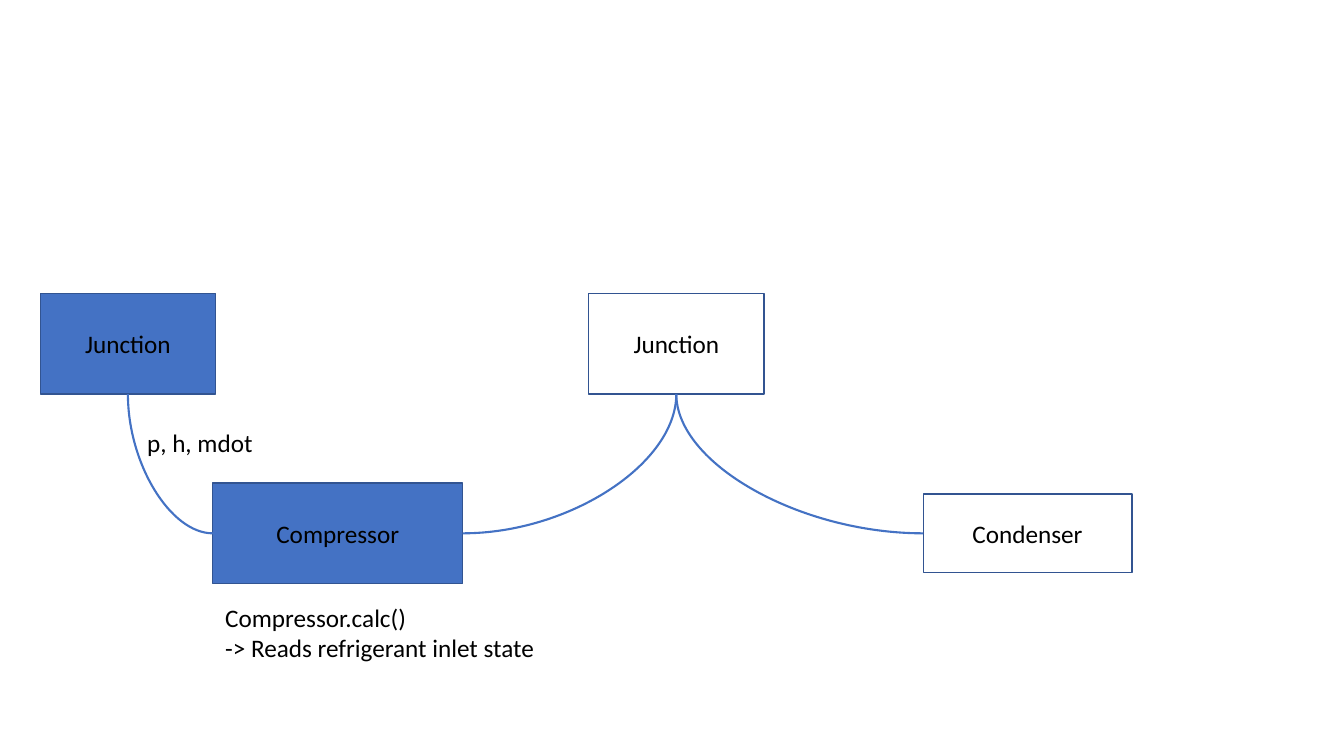
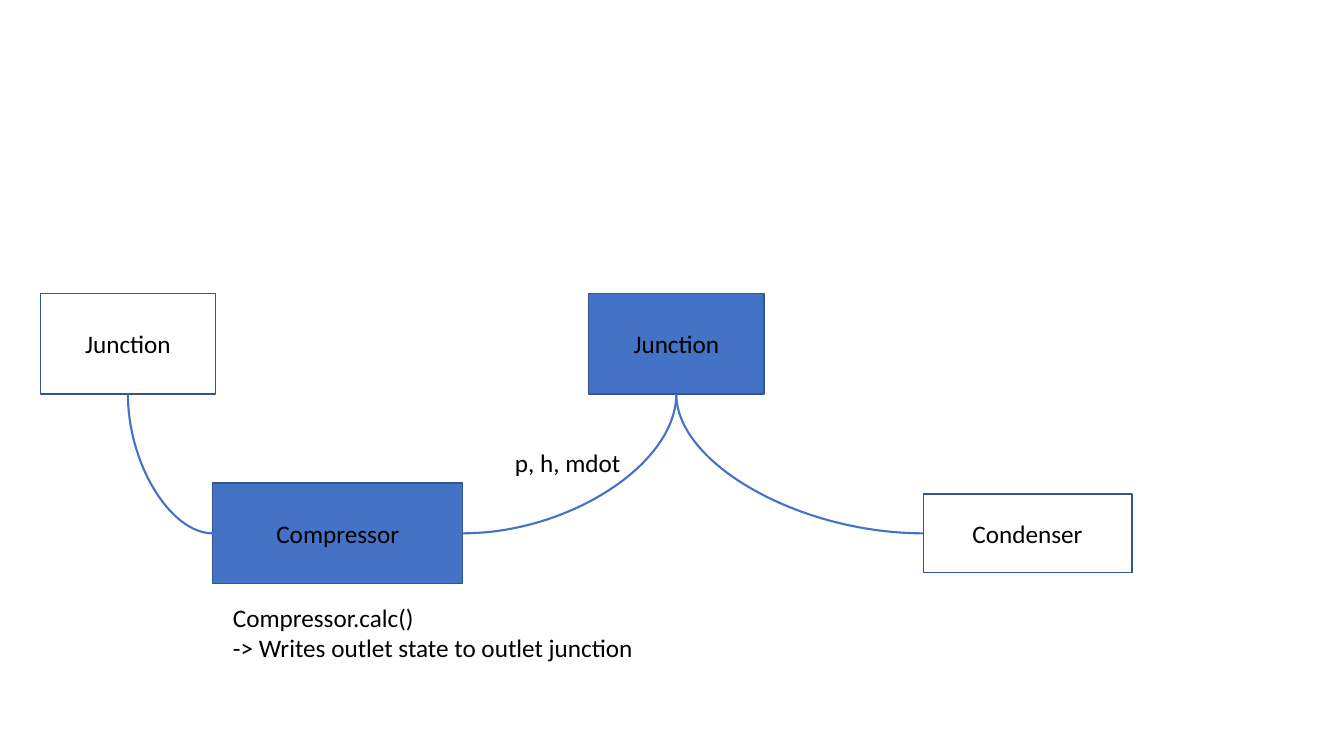
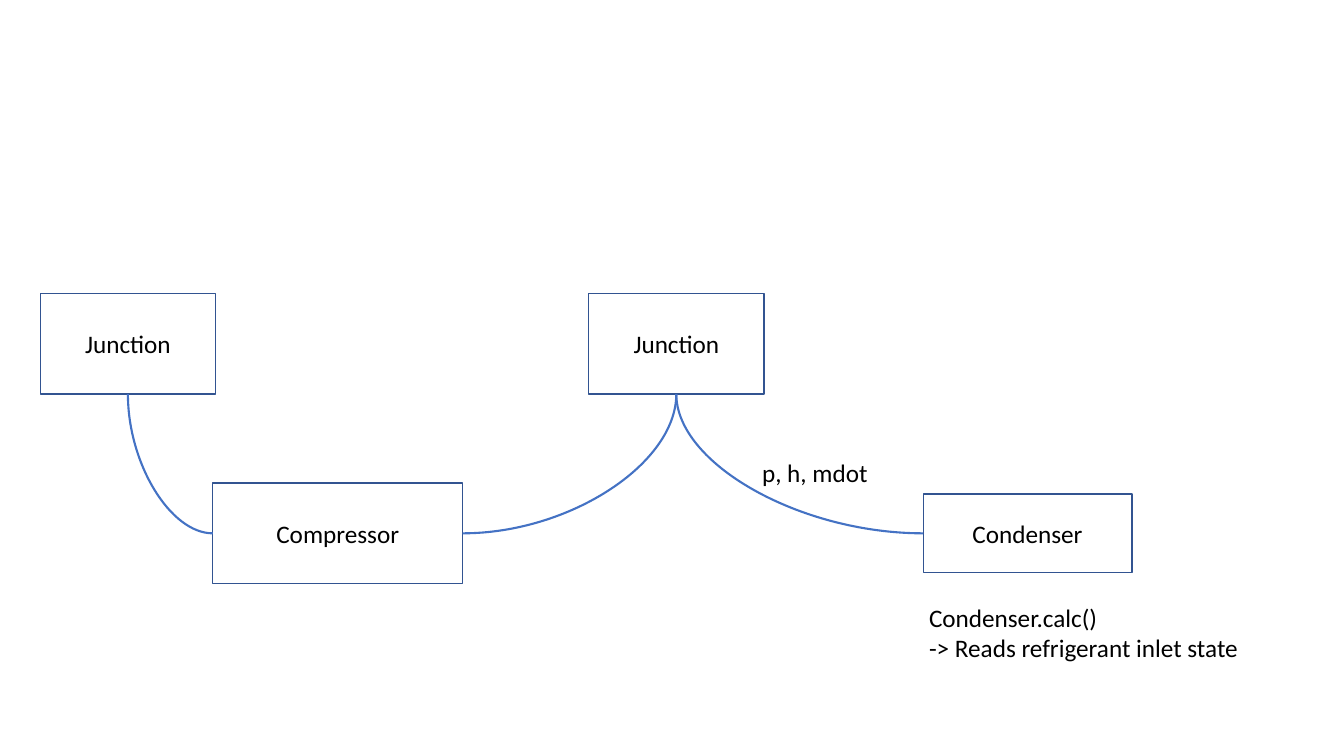
from collections import namedtuple

from lxml import etree
from pptx import Presentation
from pptx.dml.color import RGBColor
from pptx.enum import shapes, text
from pptx.oxml.ns import qn
from pptx.util import Pt

ACTIVE = RGBColor(0x44, 0x72, 0xC4)
OUTLINE = RGBColor(0x32, 0x54, 0x91)
INK = RGBColor(0, 0, 0)
FONT = "Calibri"

LEFT, BOTTOM, RIGHT = 1, 2, 3

Part = namedtuple("Part", "label left top width height")
Note = namedtuple("Note", "lines left top width height")
Step = namedtuple("Step", "active call state")

PARTS = {
    "compressor": Part("Compressor", 152, 345, 178.5, 72),
    "outlet": Part("Junction", 420.5, 209.5, 125.25, 72),
    "condenser": Part("Condenser", 659.5, 353, 149, 56),
    "inlet": Part("Junction", 28.75, 209.5, 125.25, 72),
}
PIPES = [
    ("compressor", RIGHT, "outlet"),
    ("condenser", LEFT, "outlet"),
    ("compressor", LEFT, "inlet"),
]


def call_note(component, action, left, width):
    return Note([f"{component}.calc()", f"-> {action}"], left, 426.75, width, 51)


def state_note(left, top):
    return Note(["p, h, mdot"], left, top, 90.75, 29)


STEPS = [
    Step({"inlet", "compressor"},
         call_note("Compressor", "Reads refrigerant inlet state", 153.75, 237.75),
         state_note(98, 302)),
    Step({"outlet", "compressor"},
         call_note("Compressor", "Writes outlet state to outlet junction", 159.25, 303),
         state_note(360.75, 316.25)),
    Step(set(),
         call_note("Condenser", "Reads refrigerant inlet state", 656.5, 237.75),
         state_note(537.25, 323.25)),
]


def write(paragraph, line):
    run = paragraph.add_run()
    run.text = line
    run.font.name = FONT
    run.font.size = Pt(18)
    run.font.color.rgb = INK


def add_part(slide, part, active):
    box = slide.shapes.add_shape(
        shapes.MSO_SHAPE.RECTANGLE,
        Pt(part.left), Pt(part.top), Pt(part.width), Pt(part.height))
    box.shadow.inherit = False
    if active:
        box.fill.solid()
        box.fill.fore_color.rgb = ACTIVE
    else:
        box.fill.background()
    box.line.color.rgb = OUTLINE
    box.line.width = Pt(1)
    box.text_frame.vertical_anchor = text.MSO_ANCHOR.MIDDLE
    label = box.text_frame.paragraphs[0]
    label.alignment = text.PP_ALIGN.CENTER
    write(label, part.label)
    return box


def add_pipe(slide, component, side, junction):
    pipe = slide.shapes.add_connector(
        shapes.MSO_CONNECTOR.CURVE, Pt(0), Pt(0), Pt(0), Pt(0))
    pipe.begin_connect(component, side)
    pipe.end_connect(junction, BOTTOM)
    pipe.line.color.rgb = ACTIVE
    pipe.line.width = Pt(1.5)
    properties = pipe.element.spPr
    properties.find(qn("a:prstGeom")).set("prst", "curvedConnector2")
    etree.SubElement(properties, qn("a:effectLst"))


def add_note(slide, note):
    frame = slide.shapes.add_textbox(
        Pt(note.left), Pt(note.top), Pt(note.width), Pt(note.height)).text_frame
    frame.word_wrap = False
    frame.auto_size = text.MSO_AUTO_SIZE.SHAPE_TO_FIT_TEXT
    for index, line in enumerate(note.lines):
        write(frame.add_paragraph() if index else frame.paragraphs[0], line)


def add_step(deck, step):
    slide = deck.slides.add_slide(deck.slide_layouts[6])
    boxes = {key: add_part(slide, part, key in step.active)
             for key, part in PARTS.items()}
    for component, side, junction in PIPES:
        add_pipe(slide, boxes[component], side, boxes[junction])
    add_note(slide, step.call)
    add_note(slide, step.state)


def main():
    deck = Presentation()
    deck.slide_width, deck.slide_height = Pt(960), Pt(540)
    for step in STEPS:
        add_step(deck, step)
    deck.save("out.pptx")


main()
